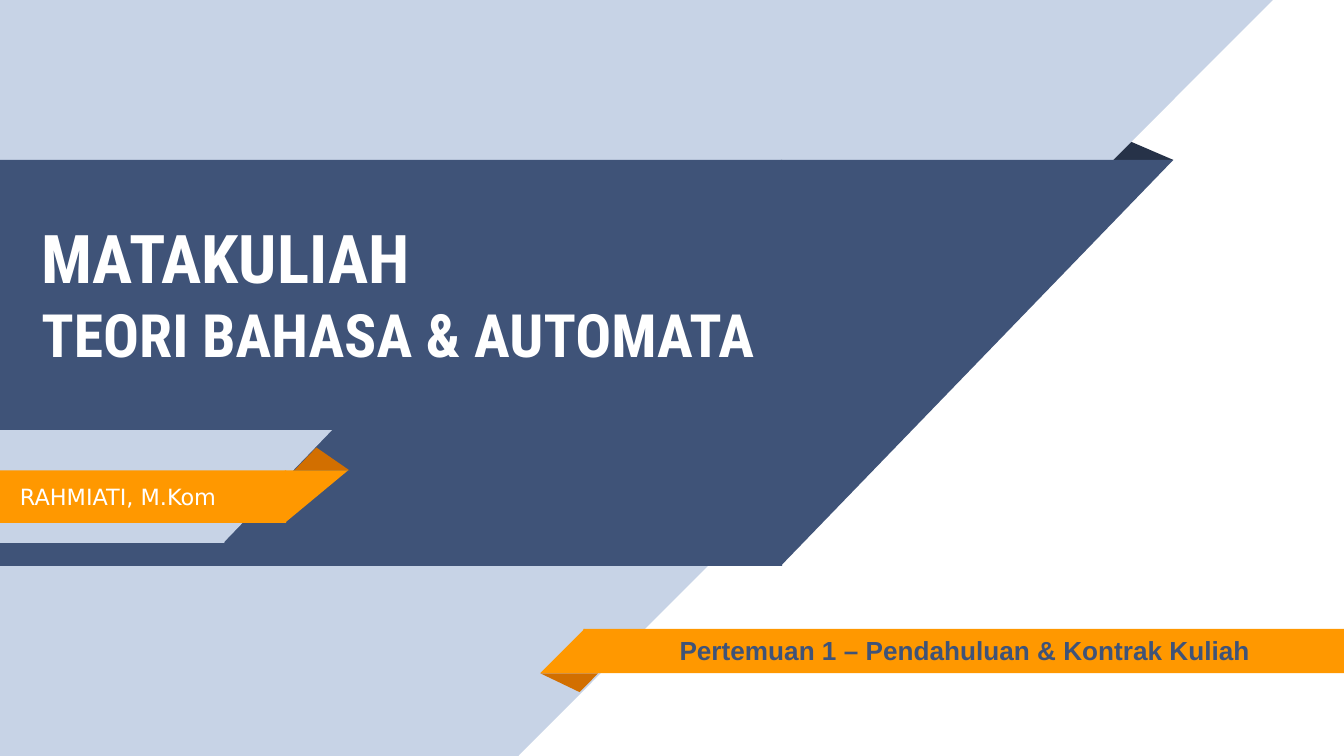
from pptx import Presentation
from pptx.dml.color import RGBColor
from pptx.enum.shapes import MSO_SHAPE
from pptx.enum.text import MSO_ANCHOR, PP_ALIGN
from pptx.util import Inches, Pt

RECT = MSO_SHAPE.RECTANGLE
RIGHT_TRI = MSO_SHAPE.RIGHT_TRIANGLE
FOLD = MSO_SHAPE.ISOSCELES_TRIANGLE
MIDDLE = MSO_ANCHOR.MIDDLE
LEFT, CENTER = PP_ALIGN.LEFT, PP_ALIGN.CENTER

WHITE = RGBColor(0xFF, 0xFF, 0xFF)
PALE = RGBColor(0xC7, 0xD3, 0xE6)
NAVY = RGBColor(0x3F, 0x53, 0x78)
DARK = RGBColor(0x26, 0x32, 0x48)
ORANGE = RGBColor(0xFF, 0x98, 0x00)
RUST = RGBColor(0xD2, 0x6F, 0x00)

OVERLAP = 0.01  # hides the seam between a band and its slanted end

# 16:9 slide
prs = Presentation()
prs.slide_width = Inches(10)
prs.slide_height = Inches(10) * 9 // 16
s = prs.slides.add_slide(prs.slide_layouts[6])


def add_part(kind, x, y, w, h, color, rotation=0, flip=False, apex=None):
    sp = s.shapes.add_shape(kind, Inches(x), Inches(y), Inches(w), Inches(h))
    sp.shadow.inherit = False
    sp.fill.solid()
    sp.fill.fore_color.rgb = color
    sp.line.fill.background()
    sp.rotation = rotation
    if flip:
        sp._element.spPr.xfrm.set("flipH", "1")
    if apex is not None:
        sp.adjustments[0] = apex


def add_text(x, y, w, h, lines, font, color, bold=False, align=LEFT):
    tf = s.shapes.add_textbox(Inches(x), Inches(y), Inches(w), Inches(h)).text_frame
    tf.word_wrap = True
    tf.vertical_anchor = MIDDLE
    tf.margin_left = tf.margin_right = Inches(0.1)
    tf.margin_top = tf.margin_bottom = Inches(0.1)
    p = tf.paragraphs[0]
    p.alignment = align
    for i, (text, size) in enumerate(lines):
        if i:
            p.add_line_break()
        r = p.add_run()
        r.text = text
        r.font.name, r.font.size, r.font.bold = font, Pt(size), bold
        r.font.color.rgb = color


# Background, title band and lecturer ribbon: bands with a slanted right end,
# each after the fold that it covers
for x, y, w, h, slant, color, fold in [
    (0, 0, 3.85, 5.63, 5.62, PALE, (8.25, 1.05, 0.48, 0.14, DARK, 0.32)),
    (0, 1.19, 5.81, 3.02, 2.92, NAVY, None),
    (0, 3.2, 1.66, 0.84, 0.81, PALE, None),
    (0, 3.5, 2.12, 0.39, 0.47, ORANGE, (2.19, 3.33, 0.41, 0.17, RUST, 0.4)),
]:
    if fold:
        add_part(FOLD, *fold[:5], apex=fold[5])
    add_part(RECT, x, y, w + OVERLAP, h, color)
    add_part(RIGHT_TRI, x + w, y, slant, h, color, 180, True)

# Meeting ribbon, slanted on the left
add_part(FOLD, 4.02, 5.01, 0.43, 0.14, RUST, 180, apex=0.32)
add_part(RECT, 4.35 - OVERLAP, 4.68, 5.65 + OVERLAP, 0.33, ORANGE)
add_part(RIGHT_TRI, 4.02, 4.68, 0.33, 0.33, ORANGE, flip=True)

# Title, meeting topic and lecturer
add_text(0.21, 1.55, 8.02, 1.26,
         [("MATAKULIAH ", 36), ("TEORI BAHASA & AUTOMATA", 32)],
         "Roboto Condensed", WHITE, bold=True)
add_text(4.41, 4.64, 5.54, 0.39,
         [("Pertemuan 1 – Pendahuluan & Kontrak Kuliah", 14)],
         "Arial", NAVY, bold=True, align=CENTER)
add_text(0.05, 3.5, 2.55, 0.39, [("RAHMIATI, M.Kom", 12)], "DejaVu Sans", WHITE)

prs.save("out.pptx")
